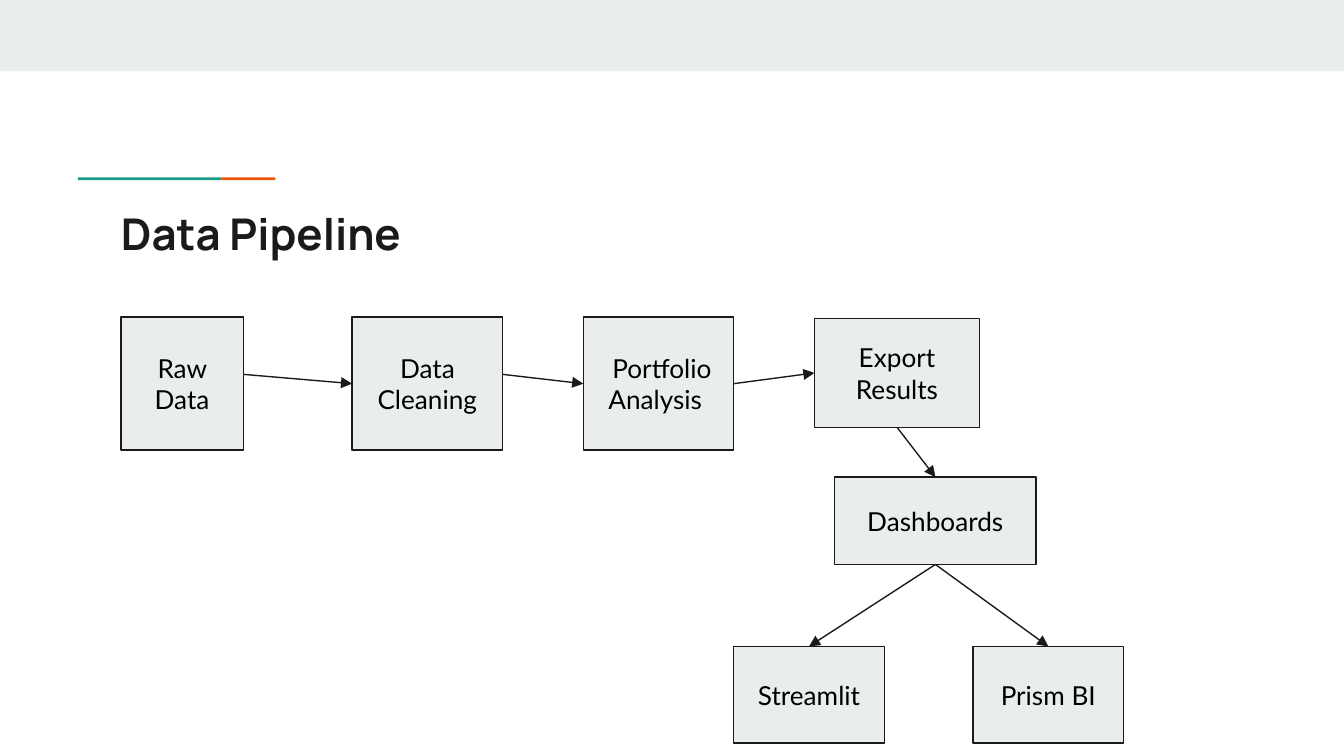
from lxml import etree
from pptx import Presentation
from pptx.dml.color import RGBColor
from pptx.enum.shapes import MSO_CONNECTOR, MSO_SHAPE
from pptx.enum.text import MSO_ANCHOR, MSO_AUTO_SIZE, PP_ALIGN
from pptx.oxml.ns import qn
from pptx.util import Inches, Pt

RECT = MSO_SHAPE.RECTANGLE
LINE = MSO_CONNECTOR.STRAIGHT
TOP, MIDDLE = MSO_ANCHOR.TOP, MSO_ANCHOR.MIDDLE
LEFT, CENTER = PP_ALIGN.LEFT, PP_ALIGN.CENTER
FIXED = MSO_AUTO_SIZE.NONE

# Content, on a 16:9 slide
WIDE = 10
HIGH = WIDE * 9 / 16
TITLE = "Data Pipeline"
PALE, INK, BLACK = "E9EDEE", "1A1A1A", "000000"
TEAL, ORANGE = "1A9988", "EB5600"
HEAD = {"name": "Manrope", "size": Pt(23.4), "bold": True}
BODY = {"name": "Lato", "size": Pt(14), "bold": False}

# Grid: four steps share one pitch, two tools hang below
COL, PITCH = 0.9, 1.72
ROWS = [2.36, 3.55, 4.81]
STEP = (1.12, 0.99)
TOOL = (1.12, 0.72)

# name: (text, left, top, (width, height))
BOXES = {
    "raw": ("Raw Data", COL, ROWS[0], (0.91, 0.99)),
    "clean": ("Data Cleaning", COL + PITCH, ROWS[0], STEP),
    "study": (" Portfolio Analysis ", COL + 2 * PITCH, ROWS[0], STEP),
    "export": ("Export Results", COL + 3 * PITCH, ROWS[0] + 0.01, (1.23, 0.81)),
    "boards": ("Dashboards", 6.21, ROWS[1], (1.5, 0.65)),
    "stream": ("Streamlit", 5.46, ROWS[2], TOOL),
    "bi": ("Prism BI", 7.24, ROWS[2], TOOL),
}

# (from, share of its width and height, to, share of its width and height)
FLOWS = [
    ("raw", (1, 0.43), "clean", (0, 0.5)),
    ("clean", (1, 0.43), "study", (0, 0.5)),
    ("study", (1, 0.5), "export", (0, 0.5)),
    ("export", (0.5, 1), "boards", (0.5, 0)),
    ("boards", (0.5, 1), "stream", (0.5, 0)),
    ("boards", (0.5, 1), "bi", (0.5, 0)),
]

# Top band and two-tone rule: (left, top, width, height, colour)
BARS = [
    (0, 0, WIDE, 0.53, PALE),
    (0.58, 1.32, 1.07, 0.02, TEAL),
    (1.65, 1.32, 0.4, 0.02, ORANGE),
]


def rgb(code):
    return RGBColor.from_string(code)


def apply(obj, values):
    for key, value in values.items():
        setattr(obj, key, value)


def write(shape, text, font, tint, align, anchor):
    frame = shape.text_frame
    sides = ("left", "right", "top", "bottom")
    apply(frame, {f"margin_{side}": Inches(0.1) for side in sides})
    apply(frame, {"word_wrap": True, "auto_size": FIXED,
                  "vertical_anchor": anchor})
    para = frame.paragraphs[0]
    para.alignment = align
    run = para.add_run()
    run.text = text
    apply(run.font, font)
    run.font.color.rgb = rgb(tint)


def block(slide, left, top, width, height, tint):
    shape = slide.shapes.add_shape(
        RECT, *map(Inches, (left, top, width, height)))
    shape.shadow.inherit = False
    shape.fill.solid()
    shape.fill.fore_color.rgb = rgb(tint)
    shape.line.fill.background()
    return shape


def stroke(line):
    line.color.rgb = rgb(INK)
    line.width = Pt(0.75)


def point(name, share):
    _, left, top, size = BOXES[name]
    return left + size[0] * share[0], top + size[1] * share[1]


def arrow(slide, start, end):
    link = slide.shapes.add_connector(LINE, *map(Inches, (*start, *end)))
    stroke(link.line)
    props = link._element.spPr
    tip = etree.SubElement(props.find(qn("a:ln")), qn("a:tailEnd"))
    tip.set("type", "triangle")
    etree.SubElement(props, qn("a:effectLst"))


def main():
    deck = Presentation()
    deck.slide_width, deck.slide_height = Inches(WIDE), Inches(HIGH)
    slide = deck.slides.add_slide(deck.slide_layouts[5])

    # Band and rule
    for bar in BARS:
        block(slide, *bar)

    # Title
    title = slide.shapes.title
    apply(title, {"left": Inches(0.8), "top": Inches(1.44),
                  "width": Inches(8.41), "height": Inches(0.59)})
    write(title, TITLE, HEAD, INK, LEFT, TOP)

    # Boxes
    for text, left, top, size in BOXES.values():
        box = block(slide, left, top, *size, PALE)
        stroke(box.line)
        write(box, text, BODY, BLACK, CENTER, MIDDLE)

    # Arrows
    for src, exit_at, dest, enter_at in FLOWS:
        arrow(slide, point(src, exit_at), point(dest, enter_at))

    deck.save("out.pptx")


if __name__ == "__main__":
    main()
